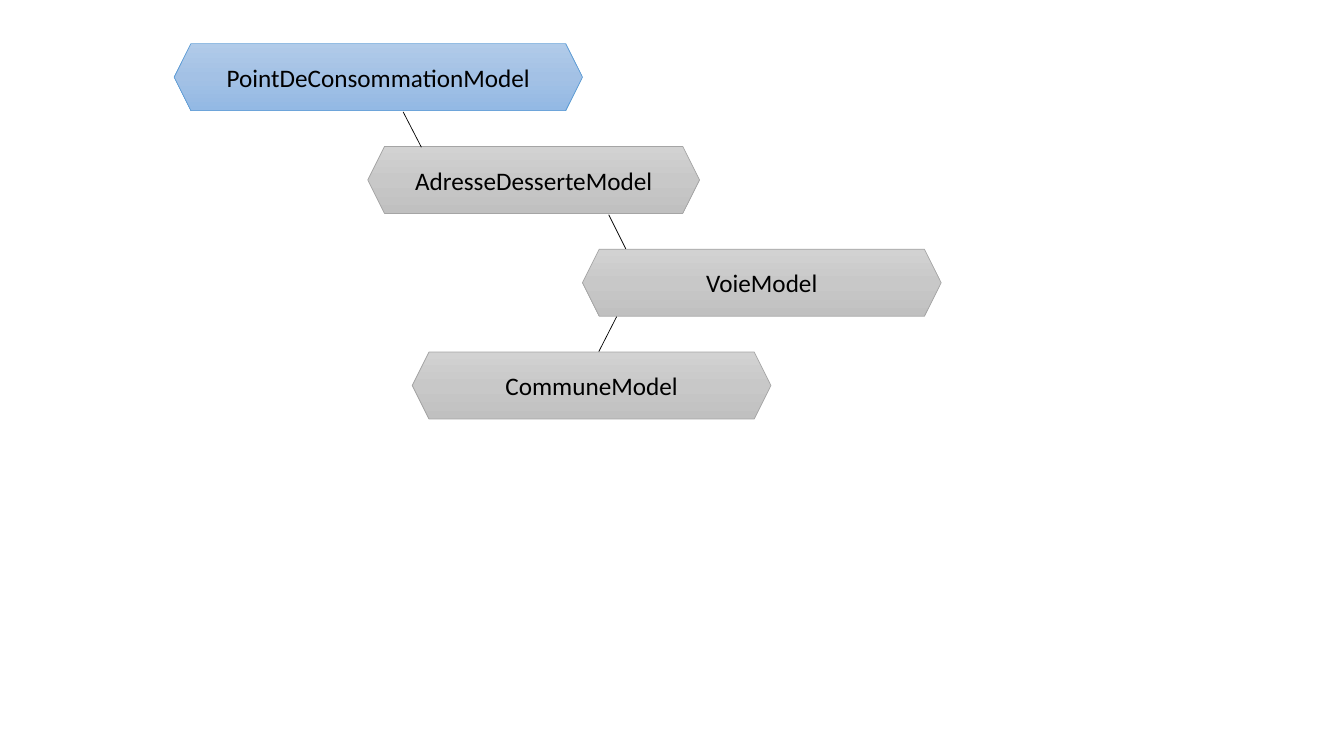
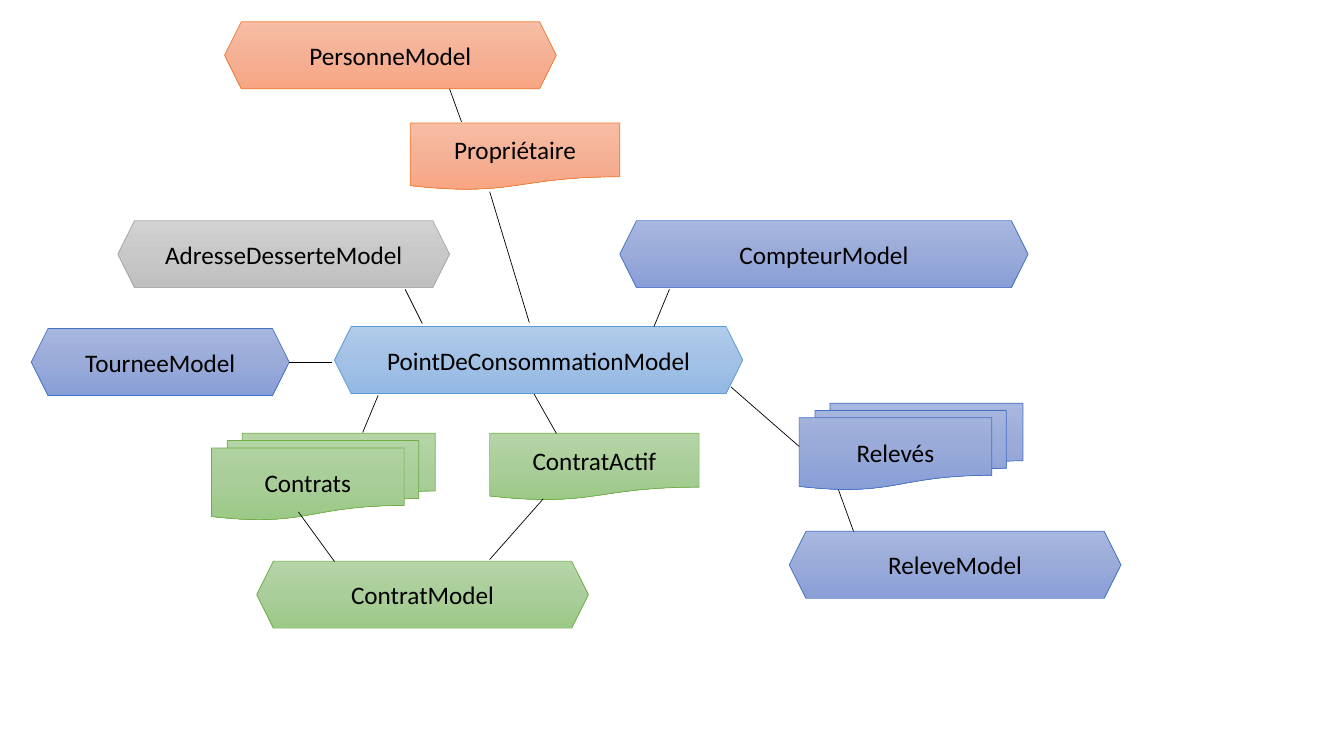
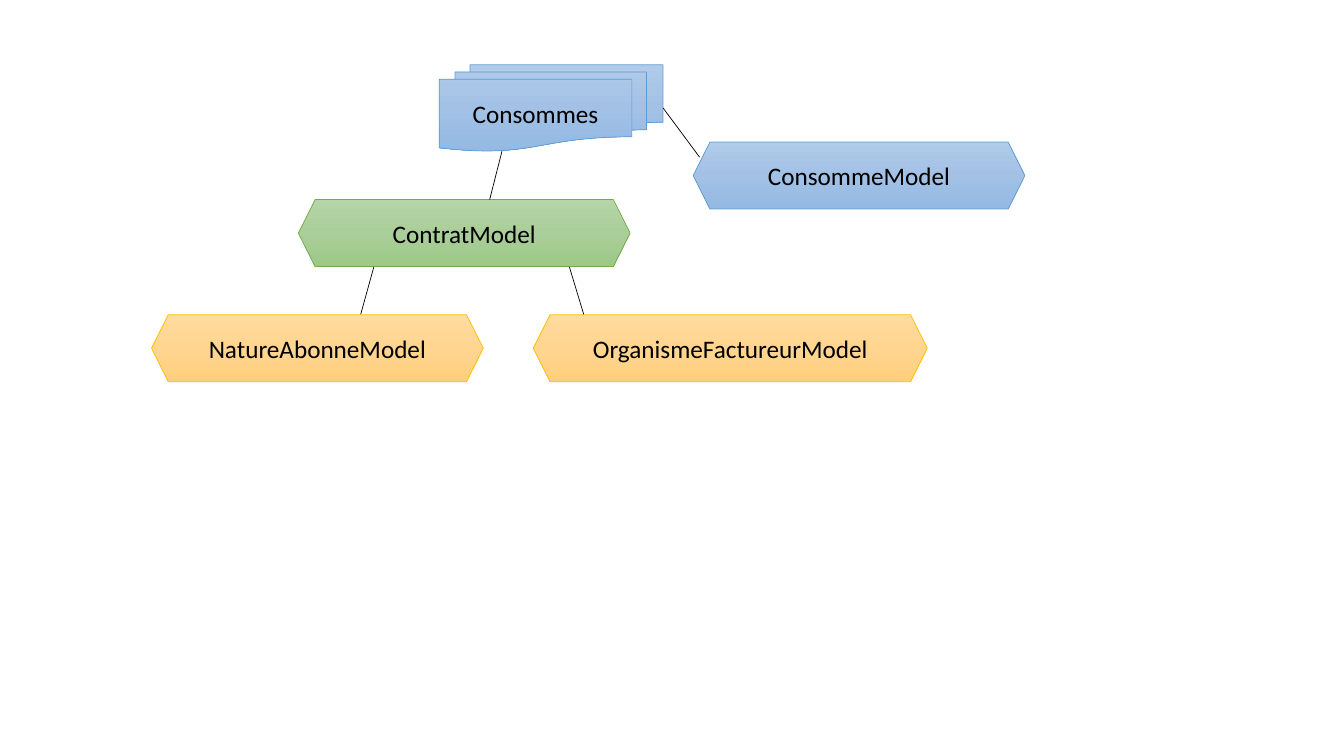
from collections import namedtuple
from copy import deepcopy

from pptx import Presentation
from pptx.dml.color import RGBColor as RGB
from pptx.enum.shapes import MSO_CONNECTOR, MSO_SHAPE
from pptx.enum.text import MSO_ANCHOR, PP_ALIGN
from pptx.oxml.ns import qn
from pptx.oxml.xmlchemy import OxmlElement
from pptx.util import Cm, Pt

Palette = namedtuple("Palette", "top middle bottom line")

BLACK = RGB(0x00, 0x00, 0x00)
GRAY = Palette(RGB(0xD2, 0xD2, 0xD2), RGB(0xC8, 0xC8, 0xC8),
               RGB(0xC0, 0xC0, 0xC0), RGB(0xA5, 0xA5, 0xA5))
SKY = Palette(RGB(0xB1, 0xCB, 0xE9), RGB(0xA3, 0xC1, 0xE5),
              RGB(0x93, 0xB9, 0xE4), RGB(0x5B, 0x9B, 0xD5))
INDIGO = Palette(RGB(0xA8, 0xB7, 0xDF), RGB(0x9A, 0xAB, 0xD9),
                 RGB(0x88, 0x9E, 0xD7), RGB(0x44, 0x72, 0xC4))
GREEN = Palette(RGB(0xB5, 0xD5, 0xA7), RGB(0xAA, 0xCE, 0x9A),
                RGB(0x9C, 0xC9, 0x87), RGB(0x70, 0xAD, 0x47))
ORANGE = Palette(RGB(0xF7, 0xBD, 0xA5), RGB(0xF5, 0xB1, 0x96),
                 RGB(0xF8, 0xA5, 0x82), RGB(0xED, 0x7D, 0x31))
GOLD = Palette(RGB(0xFF, 0xDB, 0x9E), RGB(0xFF, 0xD5, 0x90),
               RGB(0xFF, 0xD0, 0x7C), RGB(0xFF, 0xC0, 0x00))

FONT = "Calibri"
FONT_SIZE = Pt(18)
LINE_WIDTH = Pt(0.5)

# Lengths in centimetres
BOX_HEIGHT = 1.69
MODEL_WIDTH = 8.36
MEDIUM_WIDTH = 9.04
WIDE_WIDTH = 10.29


def fill_gradient(shape, palette):
    """Fill a shape with a three-stop gradient running downwards."""
    fill = shape.fill
    fill.gradient()
    fill.gradient_angle = 270
    stops = shape._element.spPr.find(".//" + qn("a:gsLst"))
    stops.insert(1, deepcopy(stops[0]))
    for i, stop in enumerate(fill.gradient_stops):
        stop.position = i / 2
        stop.color.rgb = palette[i]


def add_node(s, kind, text, palette, left, top, width, height):
    """Add a labelled preset shape."""
    sp = s.shapes.add_shape(kind, Cm(left), Cm(top), Cm(width), Cm(height))
    sp.shadow.inherit = False
    fill_gradient(sp, palette)
    sp.line.color.rgb = palette.line
    sp.line.width = LINE_WIDTH
    tf = sp.text_frame
    tf.text = text
    tf.vertical_anchor = MSO_ANCHOR.MIDDLE
    p = tf.paragraphs[0]
    p.alignment = PP_ALIGN.CENTER
    font = p.runs[0].font
    font.name = FONT
    font.size = FONT_SIZE
    font.color.rgb = BLACK


def add_model(s, text, palette, left, top, width=MODEL_WIDTH):
    """Add a hexagon that stands for a model class."""
    add_node(s, MSO_SHAPE.HEXAGON, text, palette, left, top, width, BOX_HEIGHT)


def add_document(s, text, palette, left, top):
    """Add a document that stands for a single relation."""
    add_node(s, MSO_SHAPE.FLOWCHART_DOCUMENT, text, palette, left, top,
             5.28, BOX_HEIGHT)


def add_collection(s, text, palette, left, top):
    """Add a stack of documents that stands for a multiple relation."""
    add_node(s, MSO_SHAPE.FLOWCHART_MULTIDOCUMENT, text, palette, left, top,
             5.64, 2.18)


def add_links(s, links):
    """Add thin black lines, each given as x1, y1, x2, y2."""
    for ends in links:
        line = s.shapes.add_connector(MSO_CONNECTOR.STRAIGHT,
                                      *(Cm(end) for end in ends))
        line.line.color.rgb = BLACK
        line.line.width = LINE_WIDTH
        line._element.spPr.append(OxmlElement("a:effectLst"))


def build_address(s):
    """Draw the chain from consumption point to town."""
    chain = [
        ("PointDeConsommationModel", SKY, 4.39, WIDE_WIDTH),
        ("AdresseDesserteModel", GRAY, 9.27, MODEL_WIDTH),
        ("VoieModel", GRAY, 14.68, MEDIUM_WIDTH),
        ("CommuneModel", GRAY, 10.39, MEDIUM_WIDTH),
    ]
    for i, (text, palette, left, width) in enumerate(chain):
        add_model(s, text, palette, left, 1.1 + 2.59 * i, width)
    add_links(s, [
        (10.16, 2.82, 10.62, 3.71),
        (15.34, 5.41, 15.77, 6.27),
        (15.54, 7.98, 15.09, 8.86),
    ])


def build_consumption_point(s):
    """Draw the consumption point and everything related to it."""
    add_model(s, "PersonneModel", ORANGE, 5.66, 0.55)
    add_document(s, "Propriétaire", ORANGE, 10.34, 3.1)
    add_model(s, "AdresseDesserteModel", GRAY, 2.97, 5.56)
    add_model(s, "CompteurModel", INDIGO, 15.62, 5.56, WIDE_WIDTH)
    add_model(s, "TourneeModel", INDIGO, 0.79, 8.28, 6.5)
    add_model(s, "PointDeConsommationModel", SKY, 8.43, 8.23, WIDE_WIDTH)
    add_collection(s, "Contrats", GREEN, 5.33, 10.92)
    add_document(s, "ContratActif", GREEN, 12.34, 10.92)
    add_model(s, "ContratModel", GREEN, 6.47, 14.14)
    add_collection(s, "Relevés", INDIGO, 20.14, 10.16)
    add_model(s, "ReleveModel", INDIGO, 19.89, 13.39)
    add_links(s, [
        (11.33, 2.24, 11.63, 3.07),
        (12.34, 4.83, 13.34, 8.13),
        (10.21, 7.29, 10.64, 8.15),
        (16.87, 7.29, 16.48, 8.23),
        (8.36, 9.12, 7.29, 9.12),
        (9.53, 9.96, 9.14, 10.9),
        (13.46, 9.93, 14.02, 10.92),
        (18.42, 9.75, 20.14, 11.25),
        (7.52, 12.9, 8.43, 14.15),
        (13.69, 12.57, 12.34, 14.1),
        (21.13, 12.34, 21.51, 13.39),
    ])


def build_contract(s):
    """Draw the contract and everything related to it."""
    add_collection(s, "Consommes", SKY, 11.07, 1.63)
    add_model(s, "ConsommeModel", SKY, 17.47, 3.58)
    add_model(s, "ContratModel", GREEN, 7.52, 5.03)
    add_model(s, "NatureAbonneModel", GOLD, 3.82, 7.93)
    add_model(s, "OrganismeFactureurModel", GOLD, 13.44, 7.93, 9.93)
    add_links(s, [
        (16.71, 2.72, 17.63, 3.96),
        (12.65, 3.81, 12.34, 5.03),
        (9.42, 6.73, 9.09, 7.92),
        (14.35, 6.73, 14.71, 7.92),
    ])


def main():
    """Build the presentation and save it."""
    prs = Presentation()
    prs.slide_width = Cm(33.87)
    prs.slide_height = Cm(19.05)
    for build in (build_address, build_consumption_point, build_contract):
        build(prs.slides.add_slide(prs.slide_layouts[6]))
    prs.save("out.pptx")


main()
